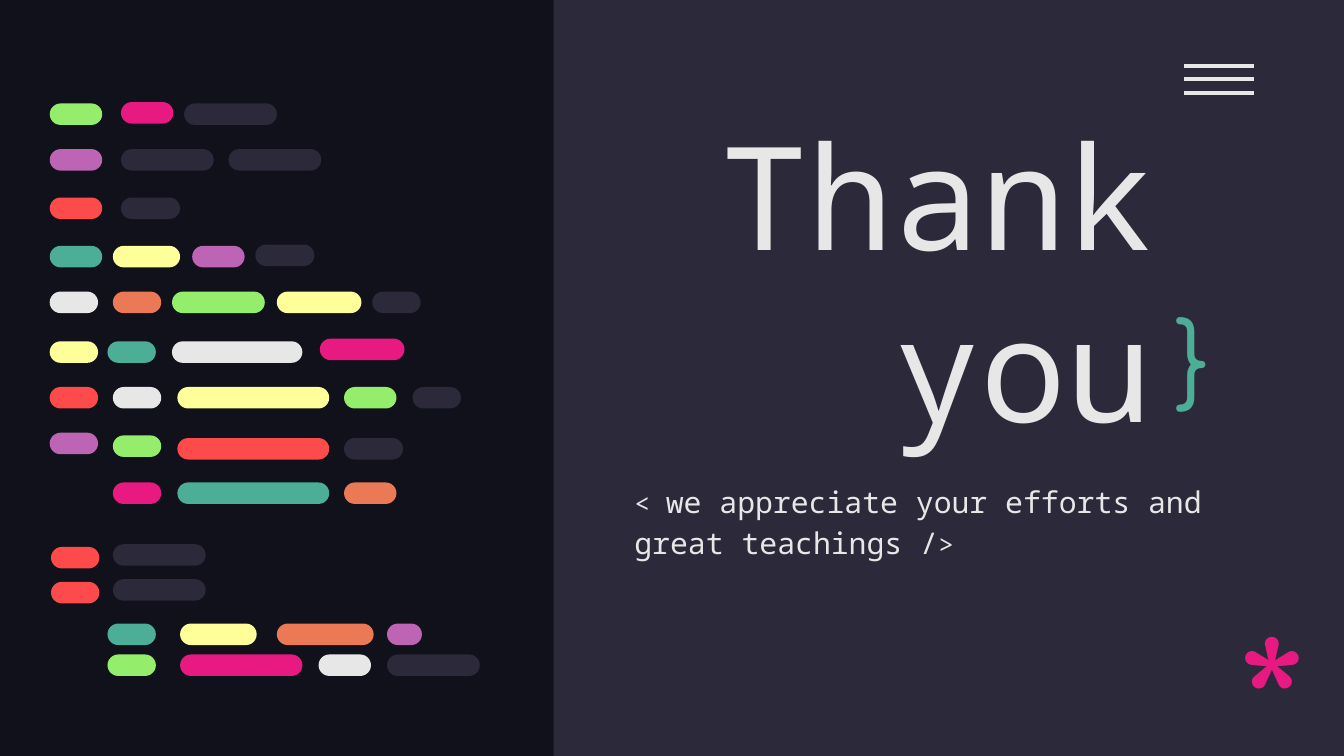
from lxml import etree
from pptx import Presentation
from pptx.dml.color import RGBColor
from pptx.enum.shapes import MSO_CONNECTOR, MSO_SHAPE
from pptx.enum.text import MSO_ANCHOR, MSO_AUTO_SIZE, PP_ALIGN
from pptx.oxml.ns import qn
from pptx.util import Inches, Pt

ROUNDED = MSO_SHAPE.ROUNDED_RECTANGLE
RECTANGLE = MSO_SHAPE.RECTANGLE
STRAIGHT = MSO_CONNECTOR.STRAIGHT
TOP, BOTTOM = MSO_ANCHOR.TOP, MSO_ANCHOR.BOTTOM
LEFT, RIGHT = PP_ALIGN.LEFT, PP_ALIGN.RIGHT
NO_AUTOFIT = MSO_AUTO_SIZE.NONE

WIDTH = 10
HEIGHT = WIDTH * 9 / 16
PANEL_LEFT = 4.12
PILL_HEIGHT = 0.16
CODE_FONT, SYMBOL_FONT = "Noto Sans Mono", "Comfortaa"

COLORS = {
    "night": "10111A", "slate": "2C293A", "white": "E7E7E7",
    "green": "94EE6B", "pink": "E81A81", "purple": "BD64B5",
    "red": "FD4A4A", "teal": "4CAE97", "yellow": "FFFF99", "orange": "EC7955",
}

TITLE = [[("Thank", 77)], [("you", 77)]]
SUBTITLE = [[("< ", 14), ("we appreciate your efforts and great teachings /", 16), (">", 14)]]
SYMBOLS = [
    ("*", 96, "pink", (9.11, 4.35, 0.57, 0.87)),
    ("}", 50, "teal", (8.65, 2.11, 0.57, 0.95)),
]
MENU = {"left": 8.81, "right": 9.33, "top": 0.49, "gap": 0.1, "count": 3}

CODE_ROWS = [
    (0.77, [(0.37, 0.39, "green"), (1.37, 0.69, "slate")]),
    (0.76, [(0.9, 0.39, "pink")]),
    (1.11, [(0.37, 0.39, "purple"), (0.9, 0.69, "slate"), (1.7, 0.69, "slate")]),
    (1.47, [(0.37, 0.39, "red"), (0.9, 0.44, "slate")]),
    (1.83, [(0.37, 0.39, "teal"), (0.84, 0.5, "yellow"), (1.43, 0.39, "purple")]),
    (1.82, [(1.9, 0.44, "slate")]),
    (2.17, [(0.37, 0.36, "white"), (0.84, 0.36, "orange"), (1.28, 0.69, "green"),
            (2.06, 0.63, "yellow"), (2.77, 0.36, "slate")]),
    (2.54, [(0.37, 0.36, "yellow"), (0.8, 0.36, "teal"), (1.28, 0.97, "white")]),
    (2.52, [(2.38, 0.63, "pink")]),
    (2.88, [(0.37, 0.36, "red"), (0.84, 0.36, "white"), (1.32, 1.13, "yellow"),
            (2.56, 0.39, "green"), (3.07, 0.36, "slate")]),
    (3.22, [(0.37, 0.36, "purple")]),
    (3.24, [(0.84, 0.36, "green")]),
    (3.26, [(1.32, 1.13, "red"), (2.56, 0.44, "slate")]),
    (3.59, [(0.84, 0.36, "pink"), (1.32, 1.13, "teal"), (2.56, 0.39, "orange")]),
    (4.07, [(0.38, 0.36, "red")]),
    (4.05, [(0.84, 0.69, "slate")]),
    (4.33, [(0.38, 0.36, "red")]),
    (4.31, [(0.84, 0.69, "slate")]),
    (4.64, [(0.8, 0.36, "teal"), (1.34, 0.57, "yellow"), (2.06, 0.72, "orange"),
            (2.88, 0.26, "purple")]),
    (4.87, [(0.8, 0.36, "green"), (1.34, 0.91, "pink"), (2.37, 0.39, "white"),
            (2.88, 0.69, "slate")]),
]


def color(name):
    return RGBColor.from_string(COLORS[name])


def paint(fill, name):
    fill.solid()
    fill.fore_color.rgb = color(name)


def add_block(shapes, kind, box, fill):
    shape = shapes.add_shape(kind, *map(Inches, box))
    shape.shadow.inherit = False
    paint(shape.fill, fill)
    shape.line.fill.background()
    return shape


def write(shape, paragraphs, font, font_color, align=LEFT, anchor=TOP, spacing=1.0):
    frame = shape.text_frame
    frame.word_wrap = True
    frame.auto_size = NO_AUTOFIT
    frame.vertical_anchor = anchor
    frame.margin_left = frame.margin_right = Inches(0.1)
    frame.margin_top = frame.margin_bottom = Inches(0.1)
    for index, runs in enumerate(paragraphs):
        paragraph = frame.add_paragraph() if index else frame.paragraphs[0]
        paragraph.alignment = align
        paragraph.line_spacing = spacing
        paragraph.space_before = Pt(0)
        for text, size in runs:
            run = paragraph.add_run()
            run.text = text
            run.font.name = font
            run.font.size = Pt(size)
            run.font.color.rgb = color(font_color)


def place(shape, box):
    shape.left, shape.top, shape.width, shape.height = map(Inches, box)


def add_menu(shapes):
    for index in range(MENU["count"]):
        y = Inches(MENU["top"] + index * MENU["gap"])
        bar = shapes.add_connector(STRAIGHT, Inches(MENU["left"]), y, Inches(MENU["right"]), y)
        bar.line.color.rgb = color("white")
        bar.line.width = Pt(2.25)
        etree.SubElement(bar._element.spPr, qn("a:effectLst"))


def main():
    presentation = Presentation()
    presentation.slide_width = Inches(WIDTH)
    presentation.slide_height = Inches(HEIGHT)
    slide = presentation.slides.add_slide(presentation.slide_layouts[0])
    shapes = slide.shapes
    paint(slide.background.fill, "night")

    panel = add_block(shapes, RECTANGLE, (PANEL_LEFT, 0, WIDTH - PANEL_LEFT, HEIGHT), "slate")
    shapes.title._element.addprevious(panel._element)
    add_menu(shapes)

    title, subtitle = shapes.title, slide.placeholders[1]
    place(title, (4.08, 1.31, 4.6, 2.15))
    write(title, TITLE, CODE_FONT, "white", align=RIGHT, anchor=BOTTOM)
    place(subtitle, (4.62, 3.46, 4.6, 1.17))
    paint(subtitle.fill, "slate")
    write(subtitle, SUBTITLE, CODE_FONT, "white", spacing=1.15)

    for top, pills in CODE_ROWS:
        for left, width, fill in pills:
            pill = add_block(shapes, ROUNDED, (left, top, width, PILL_HEIGHT), fill)
            pill.adjustments[0] = 0.5

    for text, size, font_color, box in SYMBOLS:
        symbol = shapes.add_textbox(*map(Inches, box))
        write(symbol, [[(text, size)]], SYMBOL_FONT, font_color)

    presentation.save("out.pptx")


if __name__ == "__main__":
    main()
